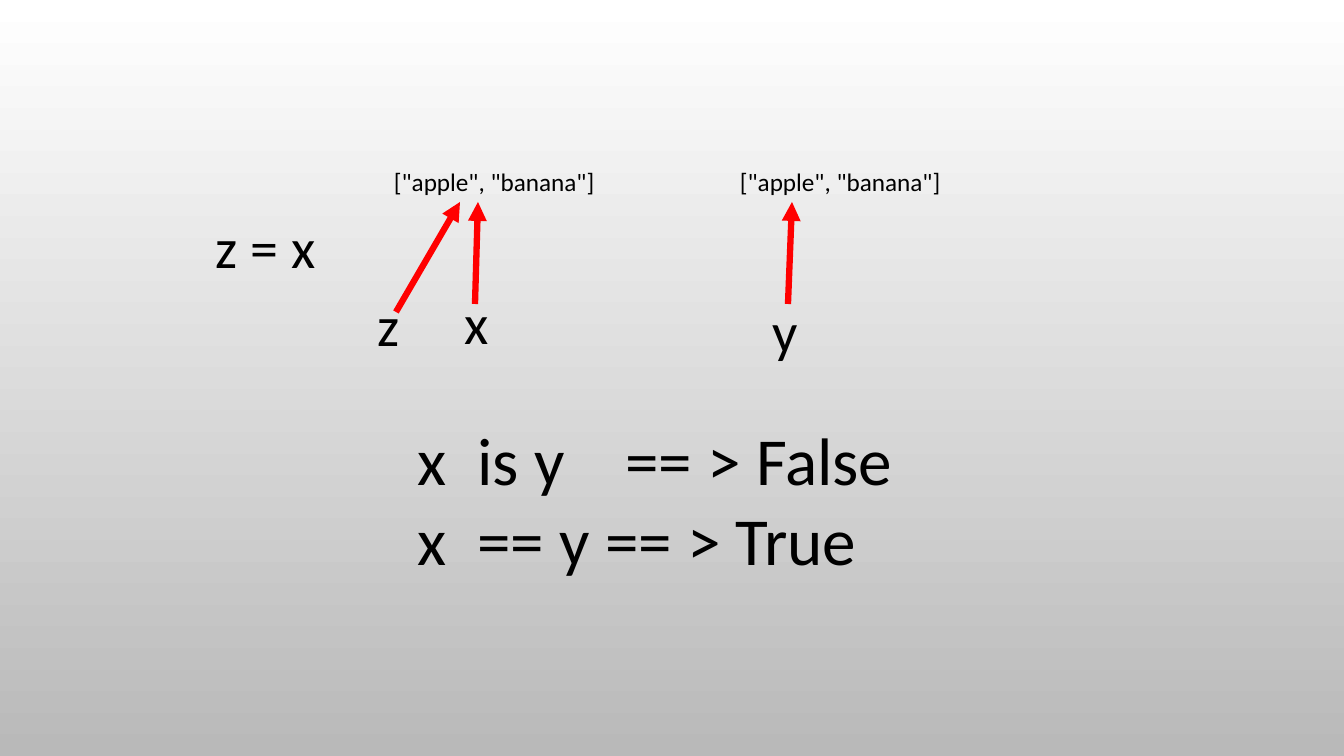
import pptx
import pptx.dml.color
import pptx.enum.shapes
import pptx.enum.text
import pptx.oxml.ns
import pptx.util
import lxml.etree


def color(hex_string):
    return pptx.dml.color.RGBColor.from_string(hex_string)


def px(length):
    return pptx.util.Emu(round(length * 914400 / 100.8))


class SlideBuilder:
    font = "Calibri"
    ink = "000000"
    arrow_color = "FF0000"
    arrow_width = 4.5

    def __init__(self, slide):
        self.slide = slide

    def background(self, top, bottom):
        fill = self.slide.background.fill
        fill.gradient()
        fill.gradient_angle = 270
        for stop, shade in zip(fill.gradient_stops, (top, bottom)):
            stop.color.rgb = color(shade)

    def text(self, left, top, width, height, paragraphs, wrap=False):
        shape = self.slide.shapes.add_textbox(px(left), px(top), px(width), px(height))
        frame = shape.text_frame
        frame.word_wrap = wrap
        frame.auto_size = pptx.enum.text.MSO_AUTO_SIZE.SHAPE_TO_FIT_TEXT
        for index, runs in enumerate(paragraphs):
            paragraph = frame.add_paragraph() if index else frame.paragraphs[0]
            for content, size in runs:
                run = paragraph.add_run()
                run.text = content
                run.font.name = self.font
                run.font.size = pptx.util.Pt(size)
                run.font.color.rgb = color(self.ink)

    def arrow(self, start, end):
        connector = self.slide.shapes.add_connector(
            pptx.enum.shapes.MSO_CONNECTOR.STRAIGHT, *map(px, start + end)
        )
        connector.line.color.rgb = color(self.arrow_color)
        connector.line.width = pptx.util.Pt(self.arrow_width)
        qualified = pptx.oxml.ns.qn
        properties = connector.element.find(qualified("p:spPr"))
        line = properties.find(qualified("a:ln"))
        lxml.etree.SubElement(line, qualified("a:tailEnd"), type="triangle")
        lxml.etree.SubElement(properties, qualified("a:effectLst"))


def main():
    presentation = pptx.Presentation()
    presentation.slide_width = px(1344)
    presentation.slide_height = px(756)
    builder = SlideBuilder(presentation.slides.add_slide(presentation.slide_layouts[6]))
    builder.background("FFFFFF", "B9B9B9")

    for list_left in (384, 730):
        builder.text(list_left, 161, 222, 40, [[('["apple", "banana"]', 18)]])

    space = (" ", 18)
    labels = [
        (455, 284, 55, [("x", 40), space]),
        (763, 292, 55, [("y", 40), space]),
        (206, 208, 149, [("z = x", 40), space]),
        (368, 286, 45, [("z", 40)]),
    ]
    for left, top, width, runs in labels:
        builder.text(left, top, width, 78, [runs])

    comparisons = ["x  is y    == > False", "x  == y == > True"]
    builder.text(408, 413, 608, 173, [[(line, 48)] for line in comparisons], wrap=True)

    list_bottom = 202
    for start, target in (((475, 304), 478), ((788, 304), 792), ((396, 312), 460)):
        builder.arrow(start, (target, list_bottom))

    presentation.save("out.pptx")


if __name__ == "__main__":
    main()
